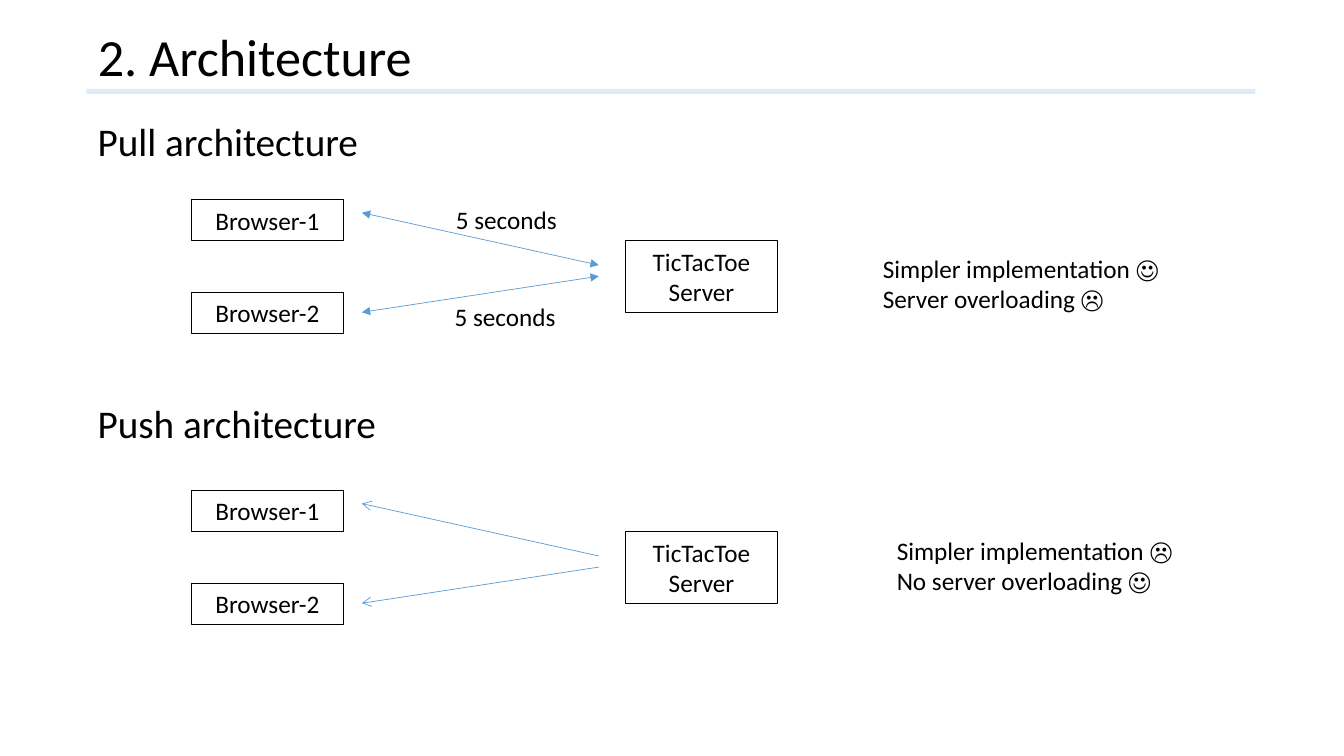
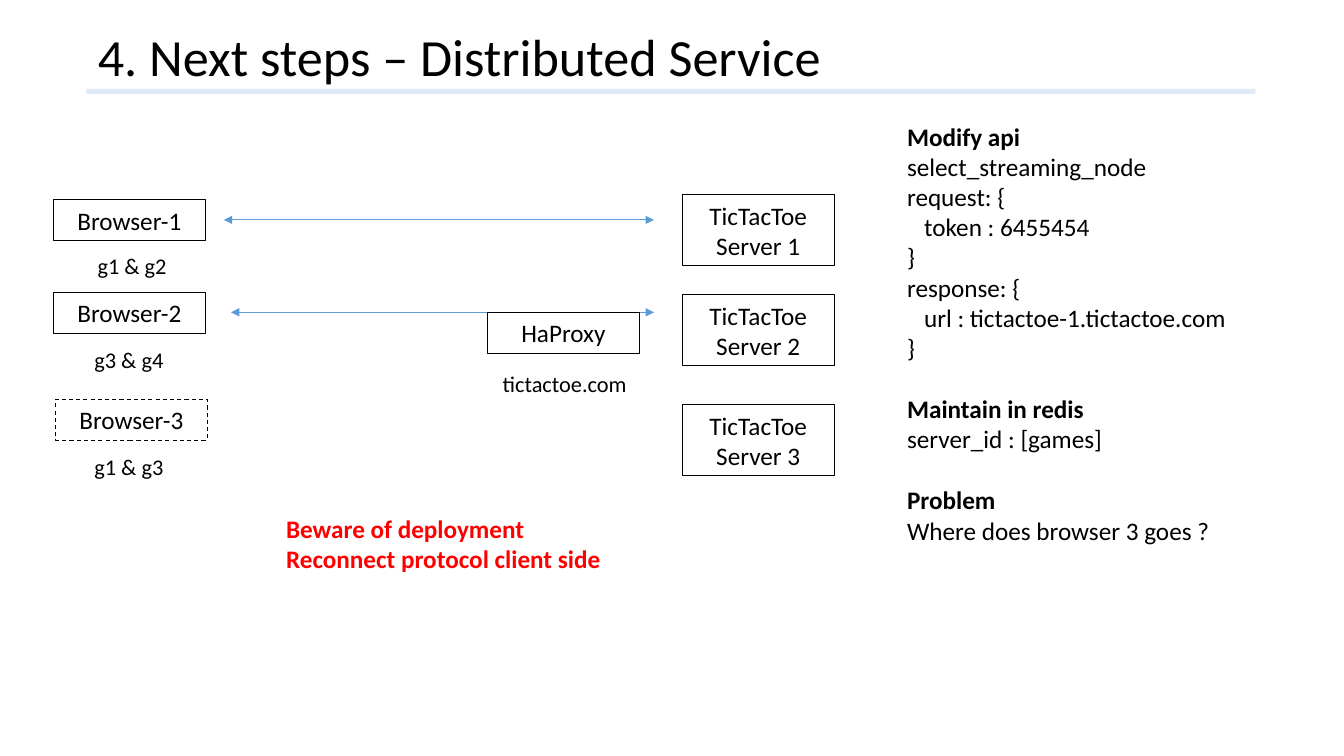
from lxml.etree import SubElement
from pptx import Presentation
from pptx.dml.color import RGBColor
from pptx.enum.dml import MSO_LINE
from pptx.enum.shapes import MSO_CONNECTOR, MSO_SHAPE
from pptx.enum.text import MSO_ANCHOR, MSO_AUTO_SIZE, PP_ALIGN
from pptx.oxml.ns import qn
from pptx.util import Cm, Pt

FONT = "Calibri"
BLACK, RED, BLUE, BAND = "000000", "FF0000", "5B9BD5", "DEEBF7"
TITLE_AT = (2.21, 0.64, 29.46, 1.7)
BAND_AT = (2.18, 2.24, 29.46, 0.13)
BOX_W, BROWSER_H, SERVER_H = 3.82, 1.03, 1.8
PUSH_DROP = 7.33

BROWSERS = [("Browser-1", 5.03), ("Browser-2", 7.37)]
LINKS = [(9.12, 5.36, 15.09, 6.68), (9.12, 7.87, 15.09, 6.96)]
INTERVALS = [(10.85, 5.03), (10.82, 7.47)]
ARCHITECTURES = [
    dict(heading="Pull architecture", heading_y=2.82, drop=0,
         ends=("triangle", "triangle"), interval="5 seconds",
         notes=["Simpler implementation ☺", "Server overloading ☹"],
         notes_at=(22, 6.25)),
    dict(heading="Push architecture", heading_y=9.93, drop=PUSH_DROP,
         ends=("arrow", None), interval=None,
         notes=["Simpler implementation ☹", "No server overloading ☺"],
         notes_at=(22.35, 13.36)),
]

CLIENTS = [
    ("Browser-1", 1.35, 5.03, None, "g1 & g2", 2.21, 6.22),
    ("Browser-2", 1.35, 7.37, None, "g3 & g4", 2.13, 8.61),
    ("Browser-3", 1.4, 10.06, MSO_LINE.DASH, "g1 & g3", 2.13, 11.3),
]
SERVERS = [("TicTacToe Server 1", 4.9), ("TicTacToe Server 2", 7.42),
           ("TicTacToe Server 3", 10.19)]
STREAMS = [(5.64, 5.54, 16.48, 5.54), (5.82, 7.87, 16.48, 7.87)]
SECTIONS = [
    ("Modify api", ["select_streaming_node", "request: {",
                    "   token : 6455454", "}", "response: {",
                    "   url : tictactoe-1.tictactoe.com", "}"]),
    ("Maintain in redis", ["server_id : [games]"]),
    ("Problem", ["Where does browser 3 goes ?"]),
]
WARNINGS = ["Beware of deployment", "Reconnect protocol client side"]


def rgb(value):
    return RGBColor.from_string(value)


def write(tf, lines, size=18, color=BLACK, bold=False, align=PP_ALIGN.LEFT):
    for i, text in enumerate(lines):
        p = tf.paragraphs[0] if i == 0 else tf.add_paragraph()
        p.alignment = align
        r = p.add_run()
        r.text = text
        r.font.color.rgb = rgb(color)
        for name, value in dict(name=FONT, size=Pt(size), bold=bold).items():
            setattr(r.font, name, value)


def add_text(s, at, lines, wrap=True, **style):
    tf = s.shapes.add_textbox(*map(Cm, at)).text_frame
    tf.word_wrap = wrap
    write(tf, lines, **style)
    return tf


def add_box(s, text, x, y, h=BROWSER_H, dash=None):
    sp = s.shapes.add_shape(MSO_SHAPE.RECTANGLE, *map(Cm, (x, y, BOX_W, h)))
    sp.shadow.inherit = False
    sp.fill.background()
    sp.line.color.rgb = rgb(BLACK)
    sp.line.width = Pt(0.75)
    if dash:
        sp.line.dash_style = dash
    sp.text_frame.word_wrap = True
    write(sp.text_frame, [text], align=PP_ALIGN.CENTER)


def add_arrow(s, ends_at, ends=("triangle", "triangle")):
    c = s.shapes.add_connector(MSO_CONNECTOR.STRAIGHT, *map(Cm, ends_at))
    c.line.color.rgb = rgb(BLUE)
    c.line.width = Pt(0.5)
    spPr = c.element.spPr
    ln = spPr.find(qn("a:ln"))
    for tag, kind in zip(("a:headEnd", "a:tailEnd"), ends):
        if kind:
            SubElement(ln, qn(tag)).set("type", kind)
    SubElement(spPr, qn("a:effectLst"))


def set_up_layout(layout, s):
    title = layout.placeholders[0]
    for name, value in zip(("left", "top", "width", "height"), TITLE_AT):
        setattr(title, name, Cm(value))
    band = s.shapes.add_shape(MSO_SHAPE.RECTANGLE, *map(Cm, BAND_AT))
    band.shadow.inherit = False
    band.fill.solid()
    band.fill.fore_color.rgb = rgb(BAND)
    band.line.fill.background()
    layout.shapes.element.insert(2, band.element)


def add_title(s, text):
    tf = s.shapes.title.text_frame
    form = dict(word_wrap=True, auto_size=MSO_AUTO_SIZE.NONE,
                vertical_anchor=MSO_ANCHOR.MIDDLE)
    for name, value in form.items():
        setattr(tf, name, value)
    write(tf, [text], size=37.3)
    tf.paragraphs[0].line_spacing = 0.9


def build_architecture(s):
    add_title(s, "2. Architecture")
    for a in ARCHITECTURES:
        drop = a["drop"]
        add_text(s, (2.21, a["heading_y"], 16.4, 1.45), [a["heading"]], size=28)
        for name, y in BROWSERS:
            add_box(s, name, 4.83, y + drop)
        add_box(s, "TicTacToe Server", 15.77, 6.07 + drop, SERVER_H)
        for x1, y1, x2, y2 in LINKS:
            add_arrow(s, (x1, y1 + drop, x2, y2 + drop), a["ends"])
        if a["interval"]:
            for x, y in INTERVALS:
                add_text(s, (x, y, BOX_W, BROWSER_H), [a["interval"]],
                         align=PP_ALIGN.CENTER)
        add_text(s, (*a["notes_at"], 8.23, SERVER_H), a["notes"])


def build_distributed(s):
    add_title(s, "4. Next steps – Distributed Service")
    for name, x, y, dash, games, games_x, games_y in CLIENTS:
        add_box(s, name, x, y, dash=dash)
        add_text(s, (games_x, games_y, 2.26, 0.94), [games], wrap=False, size=16)
    for name, y in SERVERS:
        add_box(s, name, 17.2, y, SERVER_H)
    for stream in STREAMS:
        add_arrow(s, stream)
    add_box(s, "HaProxy", 12.29, 7.87)
    add_text(s, (12.42, 9.19, 3.68, 0.94), ["tictactoe.com"], wrap=False, size=16)

    lines = [line for head, body in SECTIONS for line in (head, *body)]
    heads = [head for head, body in SECTIONS]
    tf = add_text(s, (22.61, 2.92, 9.53, 13.34), lines)
    for p in tf.paragraphs:
        if p.text in heads:
            p.runs[0].font.bold = True
            if p.text != heads[0]:
                p.space_before = Pt(22)
    add_text(s, (6.96, 12.8, 9.53, 4.11), WARNINGS, color=RED, bold=True)


def main():
    prs = Presentation()
    prs.slide_width, prs.slide_height = Cm(33.87), Cm(19.05)
    layout = prs.slide_layouts[5]
    slides = [prs.slides.add_slide(layout) for _ in range(2)]
    set_up_layout(layout, slides[0])
    for build, s in zip((build_architecture, build_distributed), slides):
        build(s)
    prs.save("out.pptx")


if __name__ == "__main__":
    main()
